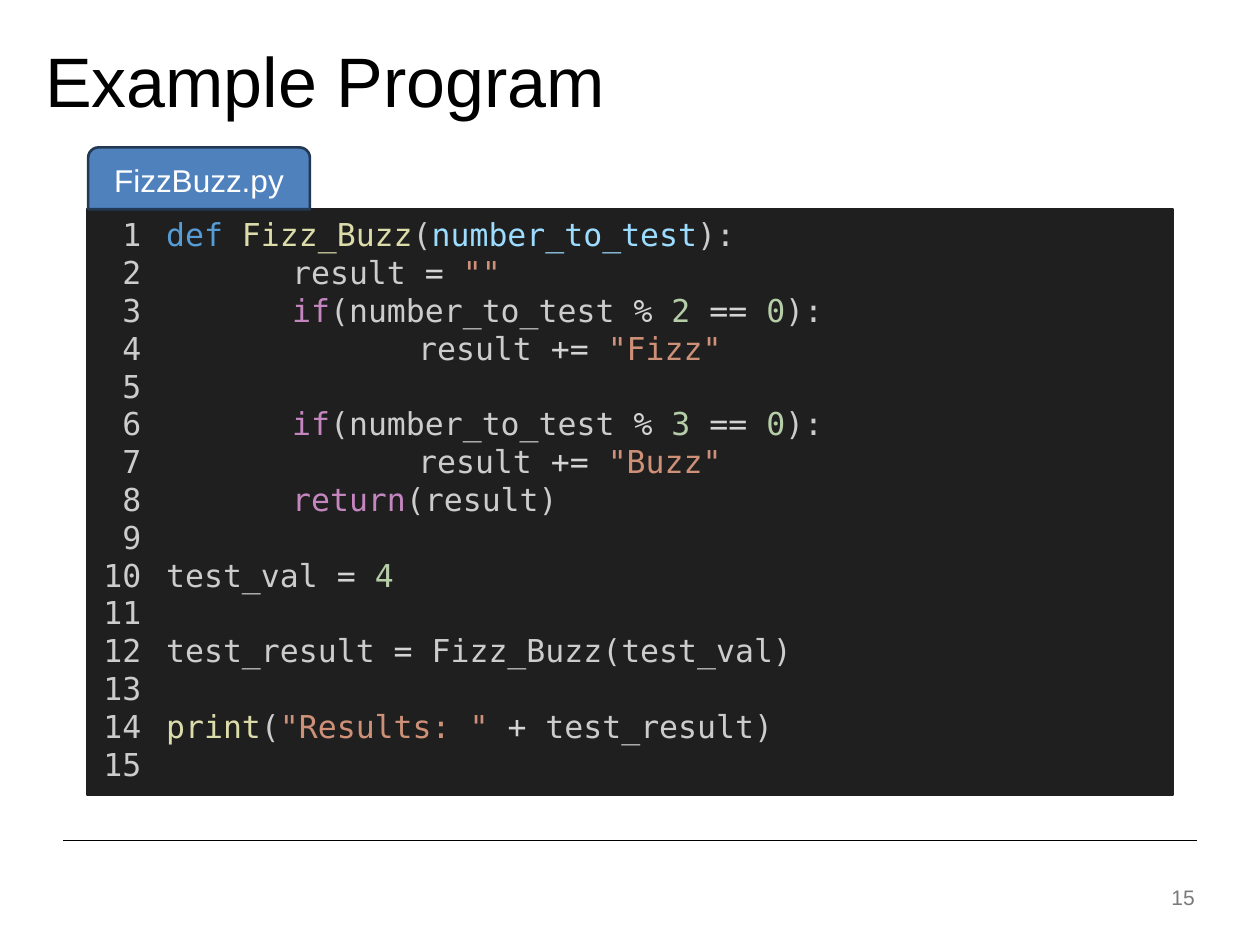
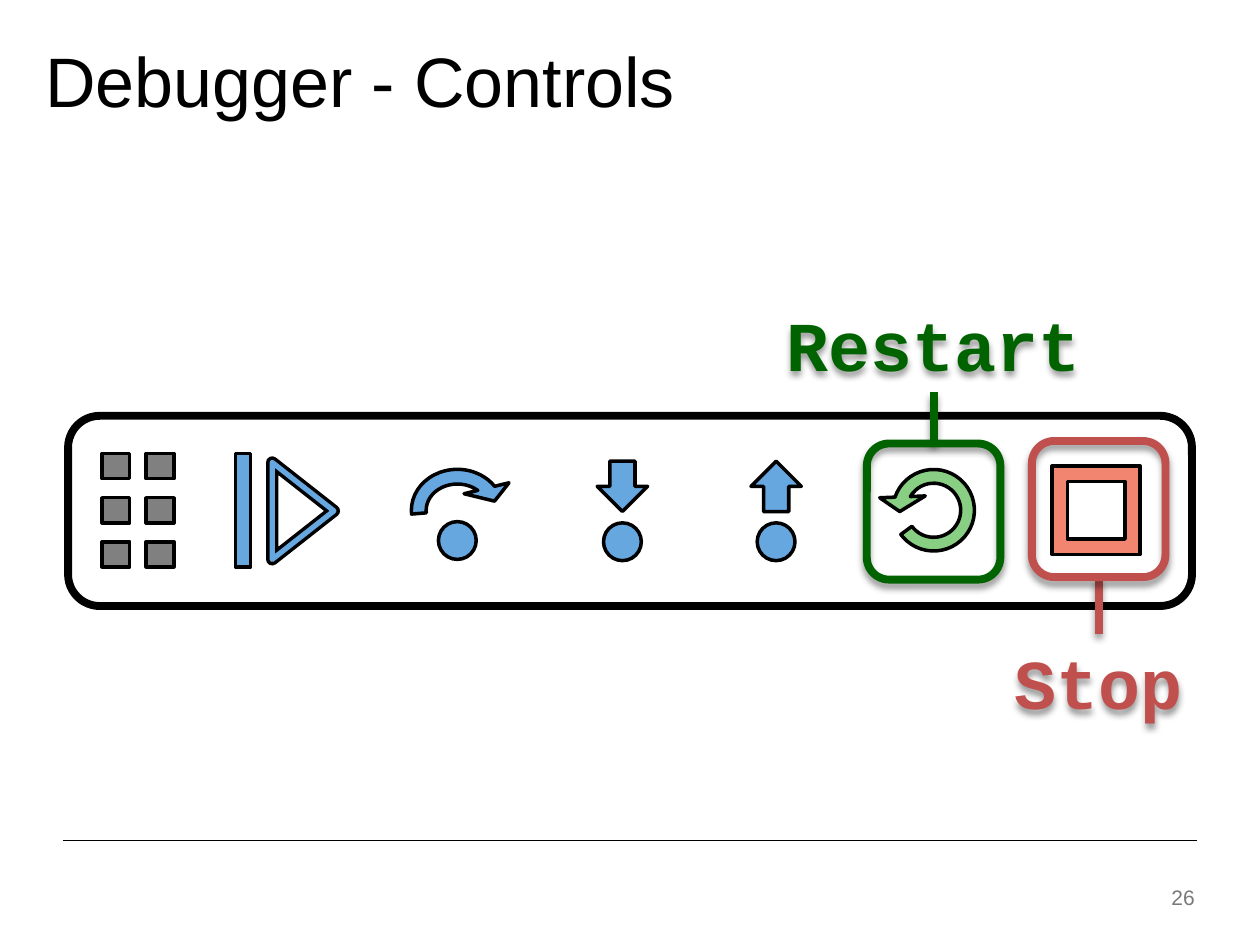
from copy import deepcopy

from lxml.etree import SubElement
from pptx import Presentation
from pptx.dml.color import RGBColor
from pptx.enum.shapes import MSO_CONNECTOR, MSO_SHAPE as SHAPE
from pptx.enum.text import MSO_ANCHOR as ANCHOR, PP_ALIGN as ALIGN
from pptx.oxml.ns import qn
from pptx.util import Inches, Pt

BLACK = RGBColor(0x00, 0x00, 0x00)
WHITE = RGBColor(0xFF, 0xFF, 0xFF)
PAGE_GRAY = RGBColor(0x79, 0x79, 0x79)
EDITOR = RGBColor(0x1F, 0x1F, 0x1F)
TAB_FILL = RGBColor(0x4F, 0x81, 0xBD)
TAB_LINE = RGBColor(0x23, 0x39, 0x53)
PLAIN = RGBColor(0xCC, 0xCC, 0xCC)
OPERATOR = RGBColor(0xD4, 0xD4, 0xD4)
DEFINE = RGBColor(0x56, 0x9C, 0xD6)
FUNCTION = RGBColor(0xDC, 0xDC, 0xAA)
PARAMETER = RGBColor(0x9C, 0xDC, 0xFE)
STRING = RGBColor(0xCE, 0x91, 0x78)
KEYWORD = RGBColor(0xC5, 0x86, 0xC0)
NUMBER = RGBColor(0xB5, 0xCE, 0xA8)
GRIP_GRAY = RGBColor(0x80, 0x80, 0x80)
STEP_BLUE = RGBColor(0x67, 0xA7, 0xE0)
RESTART_ICON = RGBColor(0x88, 0xCF, 0x83)
STOP_ICON = RGBColor(0xF2, 0x85, 0x70)
RESTART_GREEN = RGBColor(0x00, 0x63, 0x00)
STOP_RED = RGBColor(0xC0, 0x50, 0x4D)

SANS = "Arial"
MONO = "Courier New"
CODE_FONT = "DejaVu Sans Mono"
LINE_COUNT = 15


def divisible_test(divisor):
    return [("\tif", KEYWORD), ("(number_to_test ", PLAIN), ("% ", OPERATOR),
            (divisor, NUMBER), (" == ", OPERATOR), ("0", NUMBER), ("):", PLAIN)]


def append_word(word):
    return [("\t\tresult ", PLAIN), ("+= ", OPERATOR), (word, STRING)]


CODE = [
    [("def", DEFINE), (" ", PLAIN), ("Fizz_Buzz", FUNCTION), ("(", PLAIN),
     ("number_to_test", PARAMETER), ("):", PLAIN)],
    [("\tresult ", PLAIN), ("= ", OPERATOR), ('""', STRING)],
    divisible_test("2"),
    append_word('"Fizz"'),
    [],
    divisible_test("3"),
    append_word('"Buzz"'),
    [("\treturn", KEYWORD), ("(result)", PLAIN)],
    [],
    [("test_val ", PLAIN), ("= ", OPERATOR), ("4", NUMBER)],
    [],
    [("test_result ", PLAIN), ("=", OPERATOR), (" Fizz_Buzz(test_val)", PLAIN)],
    [],
    [("print", FUNCTION), ("(", PLAIN), ('"Results: " ', STRING),
     ("+ ", OPERATOR), ("test_result)", PLAIN)],
]


def set_effects(shape, shadow=False):
    effects = SubElement(shape._element.spPr, qn("a:effectLst"))
    if shadow:
        outer = SubElement(effects, qn("a:outerShdw"), blurRad=str(Pt(4)), dist=str(Pt(3)),
                           dir="5400000", algn="t", rotWithShape="0")
        color = SubElement(outer, qn("a:srgbClr"), val=str(BLACK))
        SubElement(color, qn("a:alpha"), val="40000")


def add_figure(slide, kind, left, top, width, height, fill=None, line=BLACK, weight=2,
               rotation=0, adjustments=(), shadow=False):
    shape = slide.shapes.add_shape(kind, Inches(left), Inches(top), Inches(width), Inches(height))
    if fill is None:
        shape.fill.background()
    else:
        shape.fill.solid()
        shape.fill.fore_color.rgb = fill
    shape.line.color.rgb = line
    shape.line.width = Pt(weight)
    shape.rotation = rotation
    for index, value in enumerate(adjustments):
        shape.adjustments[index] = value
    set_effects(shape, shadow)
    return shape


def add_line(slide, x1, y1, x2, y2, color, weight, shadow=False):
    line = slide.shapes.add_connector(MSO_CONNECTOR.STRAIGHT, Inches(x1), Inches(y1),
                                      Inches(x2), Inches(y2))
    line.line.color.rgb = color
    line.line.width = Pt(weight)
    set_effects(line, shadow)


def add_run(paragraph, text, font, size, color, bold=False):
    run = paragraph.add_run()
    run.text = text
    run.font.name = font
    run.font.size = Pt(size)
    run.font.bold = bold
    run.font.color.rgb = color
    return run


def add_text(slide, left, top, width, height, text, font, size, color, align=ALIGN.LEFT,
             anchor=ANCHOR.TOP, bold=False, wrap=True):
    box = slide.shapes.add_textbox(Inches(left), Inches(top), Inches(width), Inches(height))
    frame = box.text_frame
    frame.word_wrap = wrap
    frame.vertical_anchor = anchor
    paragraph = frame.paragraphs[0]
    paragraph.alignment = align
    add_run(paragraph, text, font, size, color, bold)
    return box


def add_base_slide(presentation, title, page):
    slide = presentation.slides.add_slide(presentation.slide_layouts[6])
    add_line(slide, 0.5, 6.67, 9.5, 6.67, BLACK, 0.5)
    add_text(slide, 0.26, 0.25, 6.5, 0.77, title, SANS, 40, BLACK)
    add_text(slide, 7.33, 6.92, 2.25, 0.4, page, SANS, 12, PAGE_GRAY, ALIGN.RIGHT, ANCHOR.MIDDLE)
    return slide


def set_code_tabs(paragraph):
    tabs = SubElement(paragraph._p.get_or_add_pPr(), qn("a:tabLst"))
    for level in (1, 2):
        SubElement(tabs, qn("a:tab"), pos=str(Inches(level)), algn="l")


def add_code_panel(slide, left, width, lines, align):
    panel = add_figure(slide, SHAPE.RECTANGLE, left, 1.66, width, 4.65, EDITOR, EDITOR, 1.5)
    frame = panel.text_frame
    frame.word_wrap = True
    frame.vertical_anchor = ANCHOR.TOP
    paragraph = frame.paragraphs[0]
    set_code_tabs(paragraph)
    started = False
    for tokens in lines:
        if started:
            paragraph = frame.add_paragraph()
            set_code_tabs(paragraph)
        started = bool(tokens)
        paragraph.alignment = align
        if not tokens:
            paragraph.add_line_break()
        for text, color in tokens:
            run = add_run(paragraph, text, CODE_FONT, 18, color)
        for line_break in paragraph._p.findall(qn("a:br")):
            if tokens:
                line_break.insert(0, deepcopy(run._r.rPr))


def add_file_tab(slide, name):
    tab = add_figure(slide, SHAPE.ROUND_2_SAME_RECTANGLE, 0.7, 1.17, 1.76, 0.49,
                     TAB_FILL, TAB_LINE, 1.5)
    tab.text_frame.vertical_anchor = ANCHOR.MIDDLE
    paragraph = tab.text_frame.paragraphs[0]
    paragraph.alignment = ALIGN.CENTER
    add_run(paragraph, name, SANS, 18, WHITE)


def add_grip(slide):
    for row in range(3):
        for column in range(2):
            add_figure(slide, SHAPE.RECTANGLE, 0.81 + 0.35 * column, 3.6 + 0.35 * row,
                       0.22, 0.2, GRIP_GRAY)


def add_continue_icon(slide):
    for line, weight in ((BLACK, 7), (STEP_BLUE, 3)):
        add_figure(slide, SHAPE.ISOSCELES_TRIANGLE, 2.02, 3.81, 0.77, 0.49, None, line, weight,
                   rotation=90)
    add_figure(slide, SHAPE.RECTANGLE, 1.87, 3.6, 0.12, 0.9, STEP_BLUE)


def add_step_icons(slide):
    add_figure(slide, SHAPE.OVAL, 3.48, 4.14, 0.3, 0.3, STEP_BLUE)
    add_figure(slide, SHAPE.CIRCULAR_ARROW, 3.14, 3.6, 0.98, 0.9, STEP_BLUE,
               adjustments=(0.13, 13.934, 193.823, 105.135, 0.204))
    for left, rotation in ((4.74, 0), (5.96, 180)):
        add_figure(slide, SHAPE.OVAL, left + 0.05, 4.15, 0.3, 0.3, STEP_BLUE)
        add_figure(slide, SHAPE.DOWN_ARROW, left, 3.66, 0.4, 0.4, STEP_BLUE, rotation=rotation)


def add_restart_icon(slide):
    arrow = add_figure(slide, SHAPE.CIRCULAR_ARROW, 6.96, 3.6, 0.9, 0.9, RESTART_ICON,
                       rotation=348.2, adjustments=(0.121, 15.289, 194.995, 14.782, 0.201))
    arrow._element.spPr.xfrm.set("flipH", "1")


def add_callout(slide, label, color, center, box_top, line_start, line_end, label_top, label_width):
    text = add_text(slide, center - label_width / 2, label_top, label_width, 0.77, label, MONO, 40,
                    color, ALIGN.CENTER, bold=True, wrap=False)
    set_effects(text, shadow=True)
    add_line(slide, center, line_start, center, line_end, color, 4.5, shadow=True)
    add_figure(slide, SHAPE.ROUNDED_RECTANGLE, center - 0.53, box_top, 1.06, 1.08, None, color,
               4.5, shadow=True)


def build_program_slide(presentation):
    slide = add_base_slide(presentation, "Example Program", "15")
    add_code_panel(slide, 1.22, 8.09, CODE, ALIGN.LEFT)
    numbers = [[(str(number), PLAIN)] for number in range(1, LINE_COUNT + 1)]
    add_code_panel(slide, 0.69, 0.53, numbers, ALIGN.RIGHT)
    add_file_tab(slide, "FizzBuzz.py")


def build_controls_slide(presentation):
    slide = add_base_slide(presentation, "Debugger - Controls", "26")
    add_figure(slide, SHAPE.ROUNDED_RECTANGLE, 0.54, 3.3, 8.92, 1.51, weight=4.5)
    add_grip(slide)
    add_step_icons(slide)
    add_restart_icon(slide)
    add_figure(slide, SHAPE.FRAME, 8.35, 3.7, 0.7, 0.7, STOP_ICON, adjustments=(0.173,))
    add_continue_icon(slide)
    add_callout(slide, "Restart", RESTART_GREEN, 7.41, 3.52, 3.11, 3.52, 2.34, 2.63)
    add_callout(slide, "Stop", STOP_RED, 8.72, 3.5, 5.03, 4.59, 5.03, 1.59)


def main():
    presentation = Presentation()
    presentation.slide_width = Inches(10)
    presentation.slide_height = Inches(7.5)
    build_program_slide(presentation)
    build_controls_slide(presentation)
    presentation.save("out.pptx")


if __name__ == "__main__":
    main()
